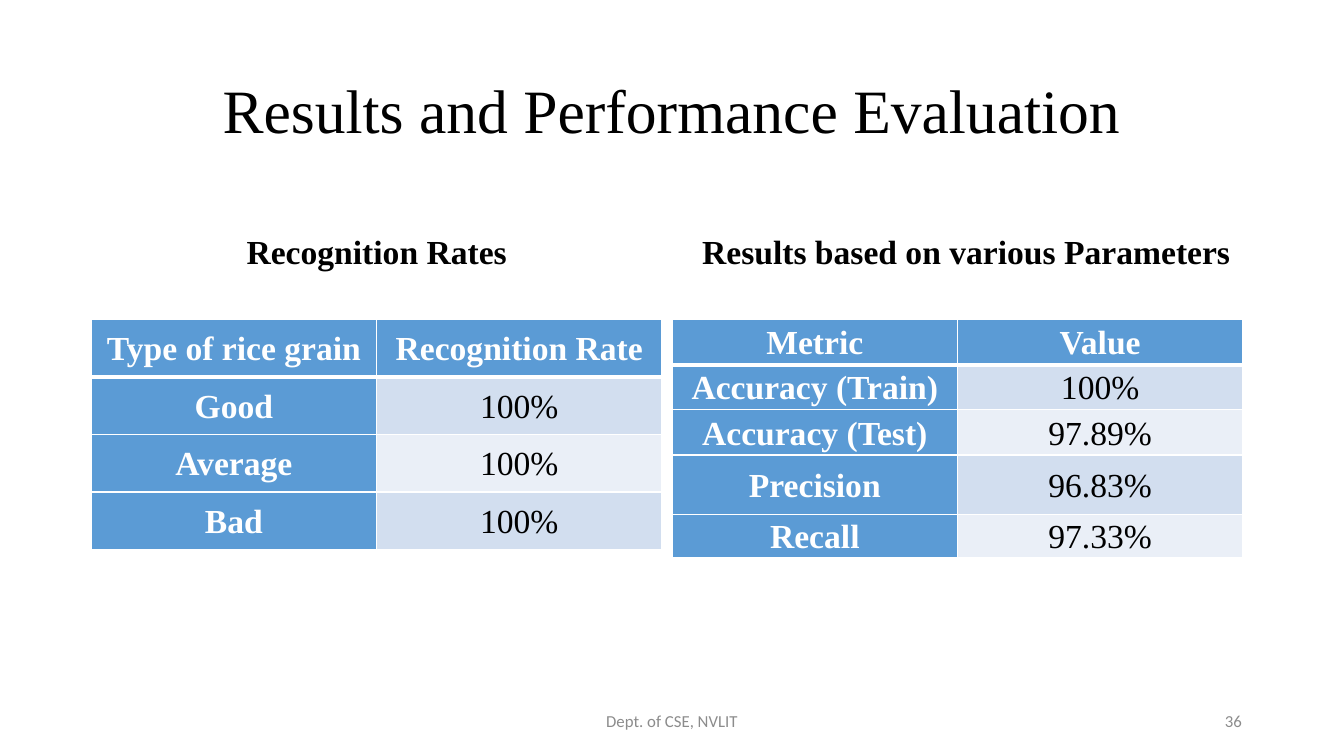
from dataclasses import dataclass

from lxml import etree
from pptx import Presentation
from pptx.dml.color import RGBColor
from pptx.enum.text import MSO_ANCHOR, PP_ALIGN
from pptx.oxml.ns import qn
from pptx.util import Cm, Pt

CENTER, RIGHT = PP_ALIGN.CENTER, PP_ALIGN.RIGHT
MIDDLE, BOTTOM = MSO_ANCHOR.MIDDLE, MSO_ANCHOR.BOTTOM

TITLE = "Results and Performance Evaluation"
FOOTER = "Dept. of CSE, NVLIT"
PAGE_NUMBER = "36"

# Each panel: heading, heading left and width, table left, row heights (cm), rows
PANELS = [
    {
        "heading": "Recognition Rates",
        "heading_span": (2.33, 14.33),
        "table_left": 2.3,
        "row_heights": [1.45] * 4,
        "rows": [
            ("Type of rice grain", "Recognition Rate"),
            ("Good", "100%"),
            ("Average", "100%"),
            ("Bad", "100%"),
        ],
    },
    {
        "heading": "Results based on various Parameters",
        "heading_span": (17.15, 14.4),
        "table_left": 16.94,
        "row_heights": [1.14, 1.14, 1.14, 1.49, 0.92],
        "rows": [
            ("Metric", "Value"),
            ("Accuracy (Train)", "100%"),
            ("Accuracy (Test)", "97.89%"),
            ("Precision", "96.83%"),
            ("Recall", "97.33%"),
        ],
    },
]

HEADING_TOP, HEADING_HEIGHT = 4.68, 2.29
TABLE_TOP, COLUMN_WIDTH = 8.05, 7.19
CELL_INSET = 0.17
FOOTER_TOP, FOOTER_HEIGHT = 17.65, 1.01
THIN, THICK = 1, 3


@dataclass(frozen=True)
class Theme:
    serif: str = "Times New Roman"
    sans: str = "Calibri"
    title_size: int = 44
    body_size: int = 24
    footer_size: int = 12
    ink: str = "000000"
    white: str = "FFFFFF"
    muted: str = "8C8C8C"
    accent: str = "5B9BD5"
    bands: tuple = ("D2DEEF", "EAEFF7")


THEME = Theme()


def style_paragraph(paragraph, size, color, bold=False, font=THEME.serif,
                    align=CENTER, spacing=1.0):
    paragraph.alignment = align
    paragraph.line_spacing = spacing
    paragraph.font.name = font
    paragraph.font.size = Pt(size)
    paragraph.font.bold = bold
    paragraph.font.color.rgb = RGBColor.from_string(color)


def add_text(slide, text, box, size, color, anchor=MIDDLE, **style):
    shape = slide.shapes.add_textbox(*(Cm(length) for length in box))
    frame = shape.text_frame
    frame.word_wrap = True
    frame.vertical_anchor = anchor
    paragraph = frame.paragraphs[0]
    paragraph.text = text
    style_paragraph(paragraph, size, color, **style)
    return paragraph


def set_borders(cell, top, bottom):
    """Draw white cell borders; top and bottom are widths in points."""
    properties = cell._tc.get_or_add_tcPr()
    widths = {"a:lnL": THIN, "a:lnR": THIN, "a:lnT": top, "a:lnB": bottom}
    for tag, width in widths.items():
        line = etree.SubElement(properties, qn(tag), w=str(Pt(width)))
        fill = etree.SubElement(line, qn("a:solidFill"))
        etree.SubElement(fill, qn("a:srgbClr"), val=THEME.white)


def fill_cell(cell, text, row, column):
    is_label = row == 0 or column == 0
    set_borders(cell, top=THICK if row == 1 else THIN,
                bottom=THICK if row == 0 else THIN)
    cell.fill.solid()
    cell.fill.fore_color.rgb = RGBColor.from_string(
        THEME.accent if is_label else THEME.bands[(row - 1) % 2])
    cell.margin_left = cell.margin_right = Cm(CELL_INSET)
    cell.margin_top = cell.margin_bottom = 0
    cell.vertical_anchor = MIDDLE
    paragraph = cell.text_frame.paragraphs[0]
    paragraph.text = text
    style_paragraph(paragraph, THEME.body_size,
                    THEME.white if is_label else THEME.ink,
                    bold=is_label, spacing=1.07)


def add_panel(slide, panel):
    """Add one heading with its table."""
    left, width = panel["heading_span"]
    heading = add_text(slide, panel["heading"],
                       (left, HEADING_TOP, width, HEADING_HEIGHT),
                       THEME.body_size, THEME.ink, anchor=BOTTOM,
                       bold=True, spacing=0.9)
    heading.space_before = Pt(10)

    rows, heights = panel["rows"], panel["row_heights"]
    columns = len(rows[0])
    table = slide.shapes.add_table(
        len(rows), columns, Cm(panel["table_left"]), Cm(TABLE_TOP),
        Cm(COLUMN_WIDTH * columns), Cm(sum(heights))).table
    table.first_col = True
    for table_column in table.columns:
        table_column.width = Cm(COLUMN_WIDTH)
    for row, (values, height) in enumerate(zip(rows, heights)):
        table.rows[row].height = Cm(height)
        for column, text in enumerate(values):
            fill_cell(table.cell(row, column), text, row, column)


def main():
    presentation = Presentation()
    presentation.slide_width, presentation.slide_height = Cm(33.87), Cm(19.05)
    slide = presentation.slides.add_slide(presentation.slide_layouts[6])

    add_text(slide, TITLE, (2.33, 1.01, 29.21, 3.68),
             THEME.title_size, THEME.ink, spacing=0.9)
    for panel in PANELS:
        add_panel(slide, panel)
    for text, left, width, align in [(FOOTER, 11.22, 11.43, CENTER),
                                     (PAGE_NUMBER, 23.93, 7.62, RIGHT)]:
        add_text(slide, text, (left, FOOTER_TOP, width, FOOTER_HEIGHT),
                 THEME.footer_size, THEME.muted, font=THEME.sans, align=align)

    presentation.save("out.pptx")


if __name__ == "__main__":
    main()
